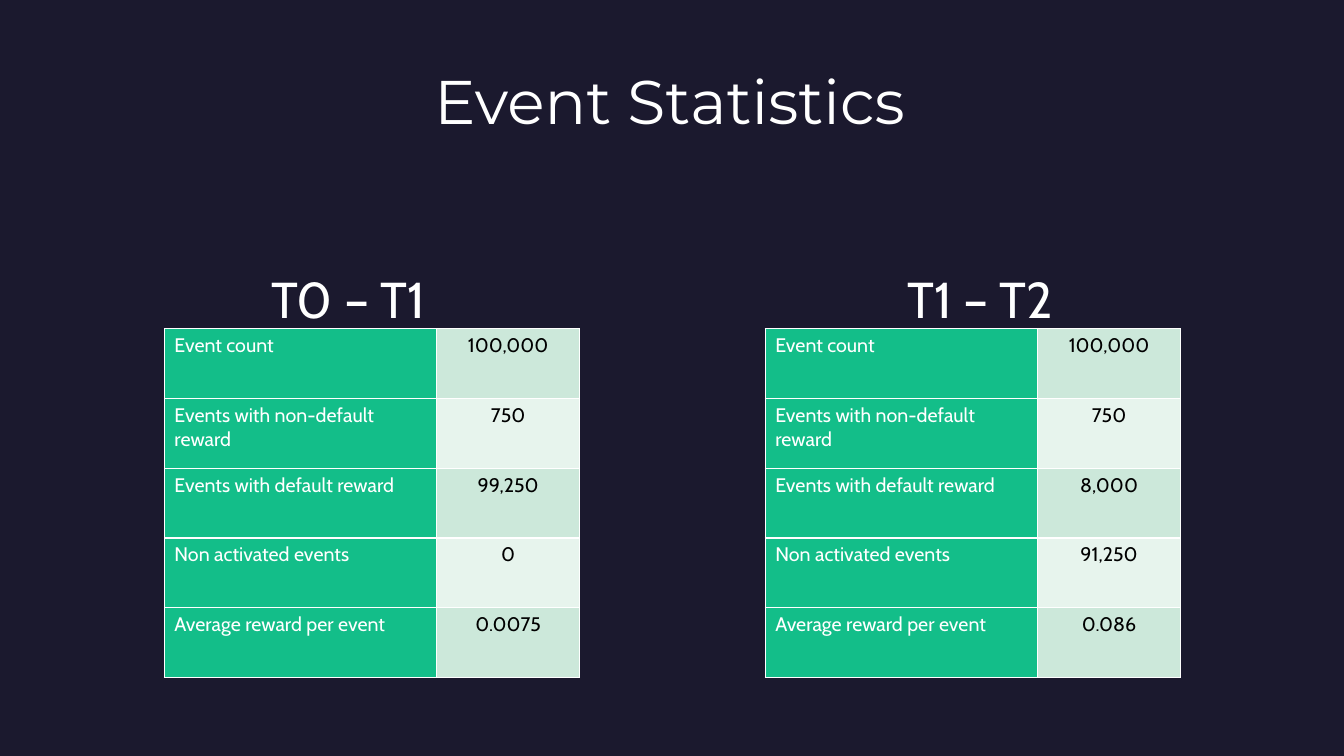
from dataclasses import dataclass

from lxml import etree
from pptx import Presentation
from pptx import util as u
from pptx.dml.color import RGBColor
from pptx.enum import text
from pptx.oxml import ns

NAVY = RGBColor(0x1B, 0x19, 0x2E)
GREEN = RGBColor(0x13, 0xBE, 0x89)
MINT = RGBColor(0xCC, 0xE8, 0xDA)
PALE_MINT = RGBColor(0xE7, 0xF4, 0xED)
WHITE = RGBColor(0xFF, 0xFF, 0xFF)
BLACK = RGBColor(0x00, 0x00, 0x00)

SLIDE_WIDTH = u.Inches(13.33)
SLIDE_HEIGHT = u.Inches(7.5)
TABLE_TOP = 43.47
LABEL_WIDTH = 20.26
VALUE_WIDTH = 10.65
ROW_HEIGHT = 9.23

MEASURES = (
    "Event count",
    "Events with non-default reward",
    "Events with default reward",
    "Non activated events",
    "Average reward per event",
)


@dataclass(frozen=True)
class Caption:
    wording: str
    left: float
    top: float
    width: float
    height: float
    font: str
    size: int


@dataclass(frozen=True)
class Period:
    name: str
    name_left: float
    table_left: float
    values: tuple[str, ...]


PERIODS = (
    Period("T0 – T1", 19.43, 12.23, ("100,000", "750", "99,250", "0", "0.0075")),
    Period("T1 – T2", 66.77, 56.94, ("100,000", "750", "8,000", "91,250", "0.086")),
)


def across(percent: float) -> int:
    return round(SLIDE_WIDTH * percent / 100)


def down(percent: float) -> int:
    return round(SLIDE_HEIGHT * percent / 100)


def add_run(paragraph, wording: str, font: str, size: int, color: RGBColor) -> None:
    run = paragraph.add_run()
    run.text = wording
    run.font.name = font
    run.font.size = u.Pt(size)
    run.font.color.rgb = color


def draw_caption(slide, caption: Caption) -> None:
    frame = slide.shapes.add_textbox(
        across(caption.left), down(caption.top),
        across(caption.width), down(caption.height),
    ).text_frame
    frame.word_wrap = True
    frame.vertical_anchor = text.MSO_ANCHOR.MIDDLE
    add_run(frame.paragraphs[0], caption.wording, caption.font, caption.size, WHITE)


def draw_borders(cell) -> None:
    properties = cell._tc.get_or_add_tcPr()
    for side in ("a:lnL", "a:lnR", "a:lnT", "a:lnB"):
        line = etree.SubElement(properties, ns.qn(side), w=str(u.Pt(1)))
        fill = etree.SubElement(line, ns.qn("a:solidFill"))
        etree.SubElement(fill, ns.qn("a:srgbClr"), val=str(WHITE))


def fill_cell(cell, wording: str, background: RGBColor, color: RGBColor,
              alignment: text.PP_ALIGN) -> None:
    draw_borders(cell)
    cell.fill.solid()
    cell.fill.fore_color.rgb = background
    paragraph = cell.text_frame.paragraphs[0]
    paragraph.alignment = alignment
    add_run(paragraph, wording, "Cabin", 14, color)


def draw_statistics(slide, period: Period) -> None:
    statistics = slide.shapes.add_table(
        len(MEASURES), 2, across(period.table_left), down(TABLE_TOP),
        across(LABEL_WIDTH + VALUE_WIDTH), down(ROW_HEIGHT * len(MEASURES)),
    ).table
    statistics.first_row = False
    statistics.horz_banding = False
    for column, width in zip(statistics.columns, (LABEL_WIDTH, VALUE_WIDTH)):
        column.width = across(width)
    for index, (measure, value) in enumerate(zip(MEASURES, period.values)):
        statistics.rows[index].height = down(ROW_HEIGHT)
        band = PALE_MINT if index % 2 else MINT
        fill_cell(statistics.cell(index, 0), measure, GREEN, WHITE, text.PP_ALIGN.LEFT)
        fill_cell(statistics.cell(index, 1), value, band, BLACK, text.PP_ALIGN.CENTER)


def main() -> None:
    deck = Presentation()
    deck.slide_width = SLIDE_WIDTH
    deck.slide_height = SLIDE_HEIGHT
    slide = deck.slides.add_slide(deck.slide_layouts[6])
    slide.background.fill.solid()
    slide.background.fill.fore_color.rgb = NAVY
    draw_caption(slide, Caption("Event Statistics", 31.58, 4.53, 36.91, 17.47,
                                "Montserrat", 44))
    for period in PERIODS:
        draw_statistics(slide, period)
        draw_caption(slide, Caption(period.name, period.name_left, 34.67, 13.8, 9.47,
                                    "Cabin", 36))
    deck.save("out.pptx")


if __name__ == "__main__":
    main()
